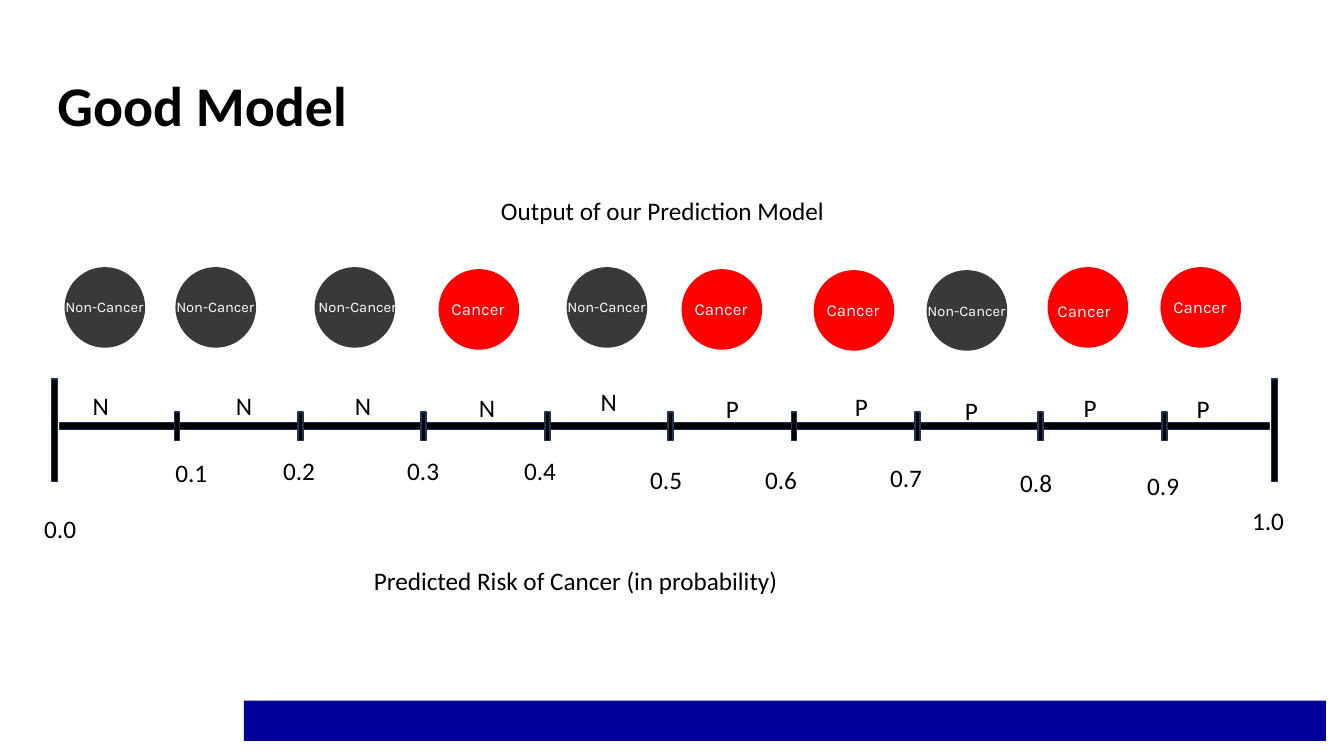
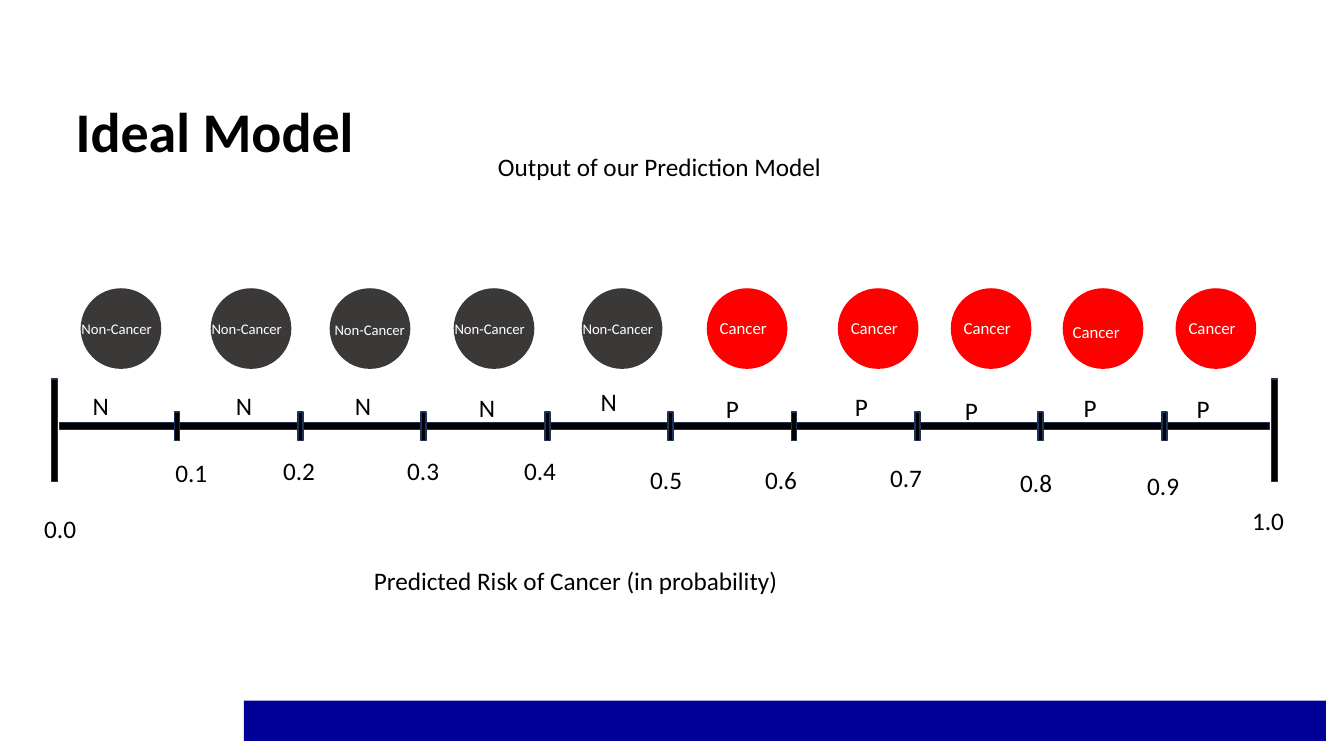
from pptx import Presentation
from pptx.dml.color import RGBColor
from pptx.enum.shapes import MSO_SHAPE as Shape
from pptx.enum.text import MSO_ANCHOR as Anchor, MSO_AUTO_SIZE as Fit
from pptx.util import Inches, Pt

HUES = {
    "ink": "000000",
    "paper": "FFFFFF",
    "band": "000099",
    "edge": "1E3256",
    "well": "3B3838",
    "ill": "FF0000",
}
FONT = "Calibri"
SIZE = 0.8
KINDS = {
    "N": dict(text="Non-Cancer", hue="well", size=10.5, box=(0.98, 0.28), shift=(-0.09, 0.26)),
    "C": dict(text="Cancer", hue="ill", size=12, box=(0.73, 0.3), shift=(0.03, 0.24)),
}
CALLS = [
    ("N", 0.82, 3.82), ("N", 2.24, 3.82), ("N", 3.42, 3.82), ("N", 4.65, 3.84), ("N", 5.86, 3.78),
    ("P", 7.1, 3.85), ("P", 8.38, 3.83), ("P", 9.47, 3.87), ("P", 10.65, 3.84), ("P", 11.77, 3.85),
]
MARKS = [
    (0.34, 5.04), (1.64, 4.49), (2.71, 4.47), (3.94, 4.47), (5.1, 4.47), (6.35, 4.56),
    (7.49, 4.56), (8.73, 4.54), (10.02, 4.59), (11.28, 4.62), (12.32, 4.96),
]
MODELS = [
    dict(
        title="Good Model", spot=(0.47, 0.61), head=(4.87, 1.89), font="Karla",
        dots=[
            ("N", 0.64, 2.65), ("N", 1.74, 2.65), ("N", 3.12, 2.65, (-0.06, 0.26)),
            ("C", 4.35, 2.67), ("N", 5.62, 2.65), ("C", 6.76, 2.67), ("C", 8.07, 2.68),
            ("N", 9.19, 2.68), ("C", 10.39, 2.65, (0, 0.28)), ("C", 11.51, 2.65),
        ],
    ),
    dict(
        title="Ideal Model", spot=(0.65, 0.87), head=(4.84, 1.45), font=FONT,
        dots=[
            ("N", 0.8, 2.86), ("N", 2.09, 2.86), ("N", 3.27, 2.86, (-0.05, 0.27)),
            ("N", 4.5, 2.86), ("N", 5.77, 2.86), ("C", 7.01, 2.86), ("C", 8.31, 2.86),
            ("C", 9.43, 2.86), ("C", 10.54, 2.86, (0, 0.28)), ("C", 11.66, 2.86),
        ],
    ),
]


def color(name):
    return RGBColor.from_string(HUES[name])


def write(frame, text, size=18, font=FONT, hue="ink", bold=False):
    frame.text = text
    face = frame.paragraphs[0].runs[0].font
    face.name, face.size, face.bold = font, Pt(size), bold
    face.color.rgb = color(hue)


def label(slide, text, x, y, w, h=0.4, wrap=False, **style):
    frame = slide.shapes.add_textbox(Inches(x), Inches(y), Inches(w), Inches(h)).text_frame
    write(frame, text, **style)
    frame.word_wrap = wrap
    frame.auto_size = Fit.SHAPE_TO_FIT_TEXT


def block(slide, x, y, w, h, hue="ink", edge=None, form=Shape.RECTANGLE):
    shape = slide.shapes.add_shape(form, Inches(x), Inches(y), Inches(w), Inches(h))
    shape.shadow.inherit = False
    shape.fill.solid()
    shape.fill.fore_color.rgb = color(hue)
    if edge:
        shape.line.color.rgb = color("edge")
        shape.line.width = Pt(edge)
    else:
        shape.line.fill.background()
    return shape


def title(slide, text, spot):
    shape = slide.shapes.title
    shape.left, shape.top = map(Inches, spot)
    shape.width, shape.height = Inches(12.17), Inches(0.93)
    frame = shape.text_frame
    write(frame, text, size=40, bold=True)
    frame.vertical_anchor = Anchor.MIDDLE
    frame.paragraphs[0].line_spacing = 0.9
    frame.paragraphs[0].alignment = 1


def scale(slide):
    for x in (0.51, 12.61):
        block(slide, x, 3.76, 0.06, 1.02, edge=1)
    block(slide, 0.59, 4.19, 12, 0.07, edge=1)
    for step in range(9):
        block(slide, 1.73 + 1.224 * step, 4.09, 0.05, 0.28, edge=1.29)
    for text, x, y in CALLS:
        label(slide, text, x, y, 0.38, wrap=True)
    for step, (x, y) in enumerate(MARKS):
        label(slide, f"{step / 10:.1f}", x, y, 0.54)
    label(slide, "Predicted Risk of Cancer (in probability)", 3.61, 5.56, 8.05, wrap=True)


def dot(slide, font, key, x, y, shift=None):
    kind = KINDS[key]
    dx, dy = shift or kind["shift"]
    block(slide, x, y, SIZE, SIZE, hue=kind["hue"], form=Shape.OVAL)
    label(slide, kind["text"], x + dx, y + dy, *kind["box"],
          size=kind["size"], font=font, hue="paper")


def build(deck, layout, model):
    slide = deck.slides.add_slide(layout)
    title(slide, model["title"], model["spot"])
    label(slide, "Output of our Prediction Model", *model["head"], 3.59)
    scale(slide)
    for item in model["dots"]:
        dot(slide, model["font"], *item)
    return slide


def main():
    deck = Presentation()
    deck.slide_width, deck.slide_height = Inches(13.33), Inches(7.5)
    layout = deck.slide_layouts[5]
    slides = [build(deck, layout, model) for model in MODELS]
    band = block(slides[0], 2.42, 6.95, 10.73, 0.4, hue="band")
    layout.shapes.element.insert(2, band.element)
    deck.save("out.pptx")


if __name__ == "__main__":
    main()
